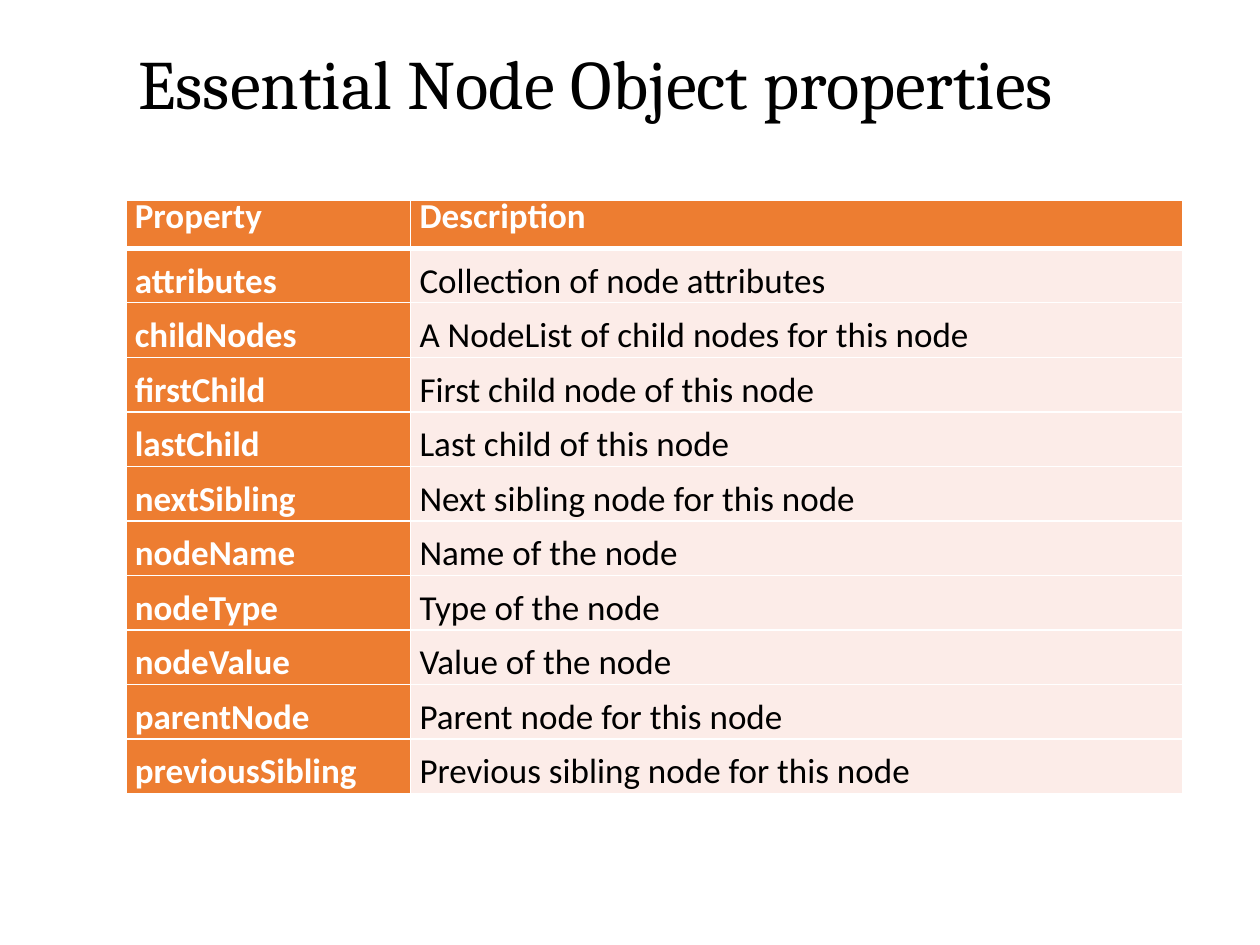
from lxml import etree
from pptx import Presentation
from pptx.dml.color import RGBColor
from pptx.enum.text import MSO_ANCHOR, PP_ALIGN
from pptx.oxml.ns import qn
from pptx.util import Inches, Pt

MIDDLE = MSO_ANCHOR.MIDDLE
BOTTOM = MSO_ANCHOR.BOTTOM
LEFT = PP_ALIGN.LEFT

HEADINGS = ("Property", "Description")
PROPERTIES = [
    ("attributes", "Collection of node attributes"),
    ("childNodes", "A NodeList of child nodes for this node"),
    ("firstChild", "First child node of this node"),
    ("lastChild", "Last child of this node"),
    ("nextSibling", "Next sibling node for this node"),
    ("nodeName", "Name of the node"),
    ("nodeType", "Type of the node"),
    ("nodeValue", "Value of the node"),
    ("parentNode", "Parent node for this node"),
    ("previousSibling", "Previous sibling node for this node"),
]


def color(hex_value):
    return RGBColor.from_string(hex_value)


class NodeSlide:
    ORANGE = "ED7D31"
    BLUSH = "FCECE8"
    WHITE = "FFFFFF"
    BLACK = "000000"

    def __init__(self, presentation):
        self.slide = presentation.slides.add_slide(presentation.slide_layouts[6])

    def run(self, paragraph, text, font_name, size, hex_value, bold=False):
        run = paragraph.add_run()
        run.text = text
        run.font.name = font_name
        run.font.size = Pt(size)
        run.font.bold = bold
        run.font.color.rgb = color(hex_value)

    def title(self, text, left, top, width, height):
        box = self.slide.shapes.add_textbox(
            Inches(left), Inches(top), Inches(width), Inches(height))
        frame = box.text_frame
        frame.word_wrap = True
        frame.vertical_anchor = MIDDLE
        paragraph = frame.paragraphs[0]
        paragraph.alignment = LEFT
        paragraph.line_spacing = 0.9
        self.run(paragraph, text, "Cambria", 39.6, self.BLACK)

    def borders(self, cell, top, bottom):
        properties = cell._tc.get_or_add_tcPr()
        for side, width in (("L", 1), ("R", 1), ("T", top), ("B", bottom)):
            line = etree.SubElement(properties, qn(f"a:ln{side}"), w=str(Pt(width)))
            fill = etree.SubElement(line, qn("a:solidFill"))
            etree.SubElement(fill, qn("a:srgbClr"), val=self.WHITE)

    def cell(self, cell, text, is_heading, is_name, top, bottom):
        self.borders(cell, top, bottom)
        accented = is_heading or is_name
        cell.fill.solid()
        cell.fill.fore_color.rgb = color(self.ORANGE if accented else self.BLUSH)
        cell.margin_left = cell.margin_right = Inches(0.07)
        cell.margin_top = cell.margin_bottom = 0
        cell.vertical_anchor = MIDDLE if is_heading else BOTTOM
        paragraph = cell.text_frame.paragraphs[0]
        paragraph.line_spacing = Pt(15 if is_name and not is_heading else 16)
        if is_heading:
            paragraph.space_after = Pt(14)
        else:
            paragraph.space_before = Pt(7)
            paragraph.space_after = Pt(0 if is_name else 7)
        self.run(paragraph, text, "Calibri", 20,
                 self.WHITE if accented else self.BLACK, accented)

    def table(self, rows, left, top, column_widths, heading_height, row_height):
        height = heading_height + row_height * (len(rows) - 1)
        table = self.slide.shapes.add_table(
            len(rows), len(column_widths), Inches(left), Inches(top),
            Inches(sum(column_widths)), Inches(height)).table
        table.horz_banding = False
        table.first_col = True
        for column, width in zip(table.columns, column_widths):
            column.width = Inches(width)
        for r, texts in enumerate(rows):
            table.rows[r].height = Inches(row_height if r else heading_height)
            for c, text in enumerate(texts):
                self.cell(table.cell(r, c), text, r == 0, c == 0,
                          top=3 if r == 1 else 1, bottom=3 if r == 0 else 1)


def main():
    presentation = Presentation()
    presentation.slide_width = Inches(10)
    presentation.slide_height = Inches(7.5)
    node_slide = NodeSlide(presentation)
    node_slide.title("Essential Node Object properties", 1, 0.13, 8.5, 1.12)
    node_slide.table([HEADINGS] + PROPERTIES, 1, 1.59, (2.26, 6.13),
                     heading_height=0.38, row_height=4.33 / len(PROPERTIES))
    presentation.save("out.pptx")


if __name__ == "__main__":
    main()
